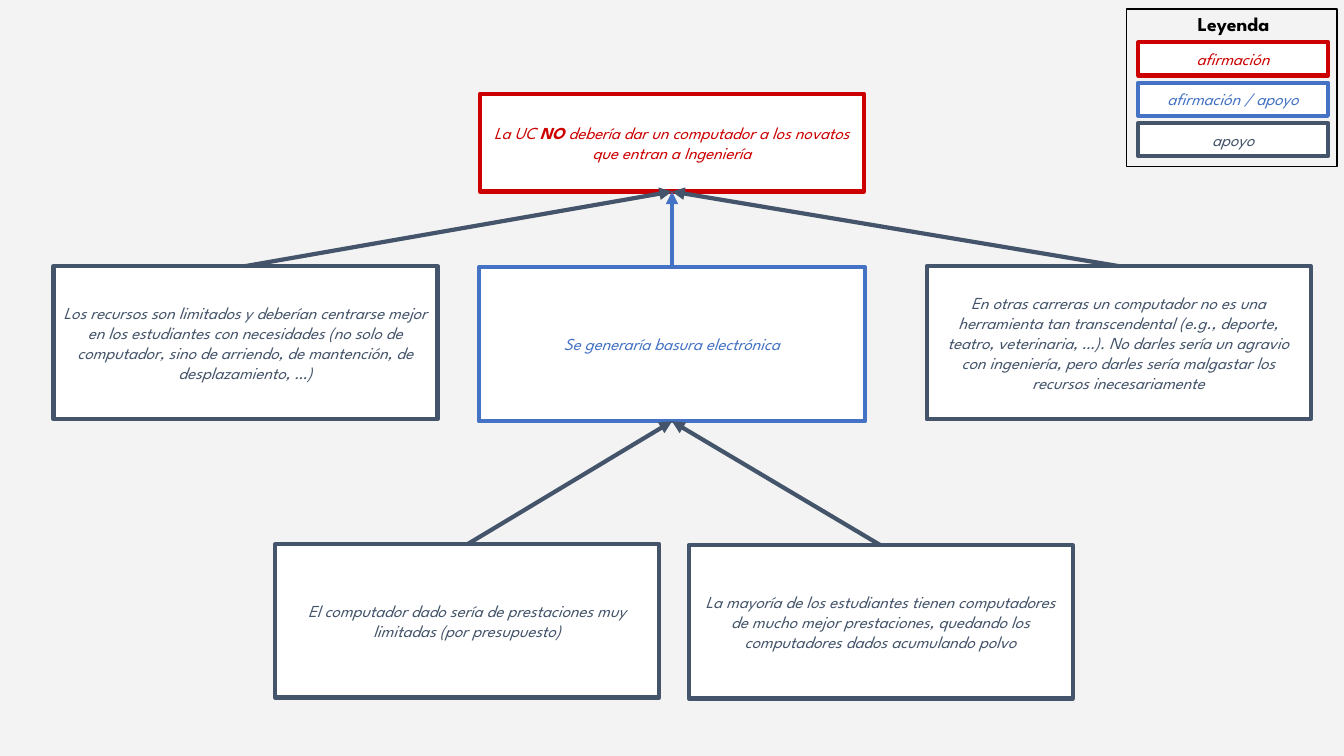
from lxml.etree import SubElement
from pptx import Presentation
from pptx.dml.color import RGBColor
from pptx.enum.shapes import MSO_CONNECTOR, MSO_SHAPE
from pptx.enum.text import MSO_ANCHOR, PP_ALIGN
from pptx.oxml.ns import qn
from pptx.util import Inches, Pt

BACKGROUND = RGBColor(0xF3, 0xF3, 0xF3)
WHITE = RGBColor(0xFF, 0xFF, 0xFF)
BLACK = RGBColor(0x00, 0x00, 0x00)
CLAIM = RGBColor(0xCC, 0x00, 0x00)
CLAIM_SUPPORT = RGBColor(0x44, 0x72, 0xC4)
SUPPORT = RGBColor(0x44, 0x54, 0x6A)
TOP, BOTTOM = 0, 2


class ArgumentMap:
    font_name = "League Spartan"
    line_width = Pt(3)

    def __init__(self, slide):
        self.shapes = slide.shapes
        slide.background.fill.solid()
        slide.background.fill.fore_color.rgb = BACKGROUND

    def fill_paragraph(self, paragraph, runs, size, color):
        """Fill a centred paragraph from (text, bold) pairs."""
        paragraph.alignment = PP_ALIGN.CENTER
        paragraph.font.name = self.font_name
        paragraph.font.size = Pt(size)
        paragraph.font.color.rgb = color
        for text, bold in runs:
            run = paragraph.add_run()
            run.text = text
            run.font.bold = bold

    def rectangle(self, position, color, width):
        shape = self.shapes.add_shape(MSO_SHAPE.RECTANGLE, *map(Inches, position))
        shape.shadow.inherit = False
        shape.line.color.rgb = color
        shape.line.width = width
        return shape

    def box(self, position, color, *runs):
        shape = self.rectangle(position, color, self.line_width)
        shape.fill.solid()
        shape.fill.fore_color.rgb = WHITE
        frame = shape.text_frame
        frame.word_wrap = True
        frame.vertical_anchor = MSO_ANCHOR.MIDDLE
        self.fill_paragraph(frame.paragraphs[0], runs, 12, color)
        frame.paragraphs[0].font.italic = True
        return shape

    def frame(self, position):
        self.rectangle(position, BLACK, Pt(1)).fill.background()

    def heading(self, position, text):
        text_box = self.shapes.add_textbox(*map(Inches, position))
        text_box.text_frame.word_wrap = False
        self.fill_paragraph(text_box.text_frame.paragraphs[0], [(text, True)], 14, BLACK)

    def arrow(self, lower, upper, color):
        connector = self.shapes.add_connector(MSO_CONNECTOR.STRAIGHT, 0, 0, 0, 0)
        connector.begin_connect(lower, TOP)
        connector.end_connect(upper, BOTTOM)
        connector.line.color.rgb = color
        connector.line.width = self.line_width
        properties = connector._element.spPr
        SubElement(properties.find(qn("a:ln")), qn("a:tailEnd"), type="triangle")
        SubElement(properties, qn("a:effectLst"))


def main():
    presentation = Presentation()
    presentation.slide_width = Inches(13.33)
    presentation.slide_height = Inches(7.5)
    slide = presentation.slides.add_slide(presentation.slide_layouts[6])
    argument_map = ArgumentMap(slide)

    # Claim
    claim = argument_map.box(
        (4.76, 0.93, 3.81, 0.97), CLAIM,
        ("La UC ", False), ("NO", True),
        (" debería dar un computador a los novatos que entran a Ingeniería", False))

    # Arguments that support the claim
    resources = argument_map.box(
        (0.53, 2.64, 3.81, 1.52), SUPPORT,
        ("Los recursos son limitados y deberían centrarse mejor en los estudiantes "
         "con necesidades (no solo de computador, sino de arriendo, de mantención, "
         "de desplazamiento, …)", False))
    waste = argument_map.box(
        (4.75, 2.65, 3.83, 1.53), CLAIM_SUPPORT,
        ("Se generaría basura electrónica", False))
    other_degrees = argument_map.box(
        (9.19, 2.64, 3.81, 1.52), SUPPORT,
        ("En otras carreras un computador no es una herramienta tan transcendental "
         "(e.g., deporte, teatro, veterinaria, …). No darles sería un agravio con "
         "ingeniería, pero darles sería malgastar los recursos inecesariamente", False))

    # Arguments that support the electronic waste claim
    limited_features = argument_map.box(
        (2.73, 5.4, 3.81, 1.52), SUPPORT,
        ("El computador dado sería de prestaciones muy limitadas (por presupuesto)", False))
    better_computers = argument_map.box(
        (6.83, 5.41, 3.81, 1.52), SUPPORT,
        ("La mayoría de los estudiantes tienen computadores de mucho mejor "
         "prestaciones, quedando los computadores dados acumulando polvo", False))

    # Arrows from each argument to what it supports
    for lower, upper, color in (
        (resources, claim, SUPPORT),
        (waste, claim, CLAIM_SUPPORT),
        (other_degrees, claim, SUPPORT),
        (limited_features, waste, SUPPORT),
        (better_computers, waste, SUPPORT),
    ):
        argument_map.arrow(lower, upper, color)

    # Legend
    legend = (("afirmación", CLAIM), ("afirmación / apoyo", CLAIM_SUPPORT), ("apoyo", SUPPORT))
    for row, (label, color) in enumerate(legend):
        argument_map.box((11.29, 0.42 + 0.4 * row, 1.88, 0.33), color, (label, False))
    argument_map.frame((11.17, 0.09, 2.09, 1.56))
    argument_map.heading((11.72, 0.07, 1.03, 0.34), "Leyenda")

    presentation.save("out.pptx")


if __name__ == "__main__":
    main()
